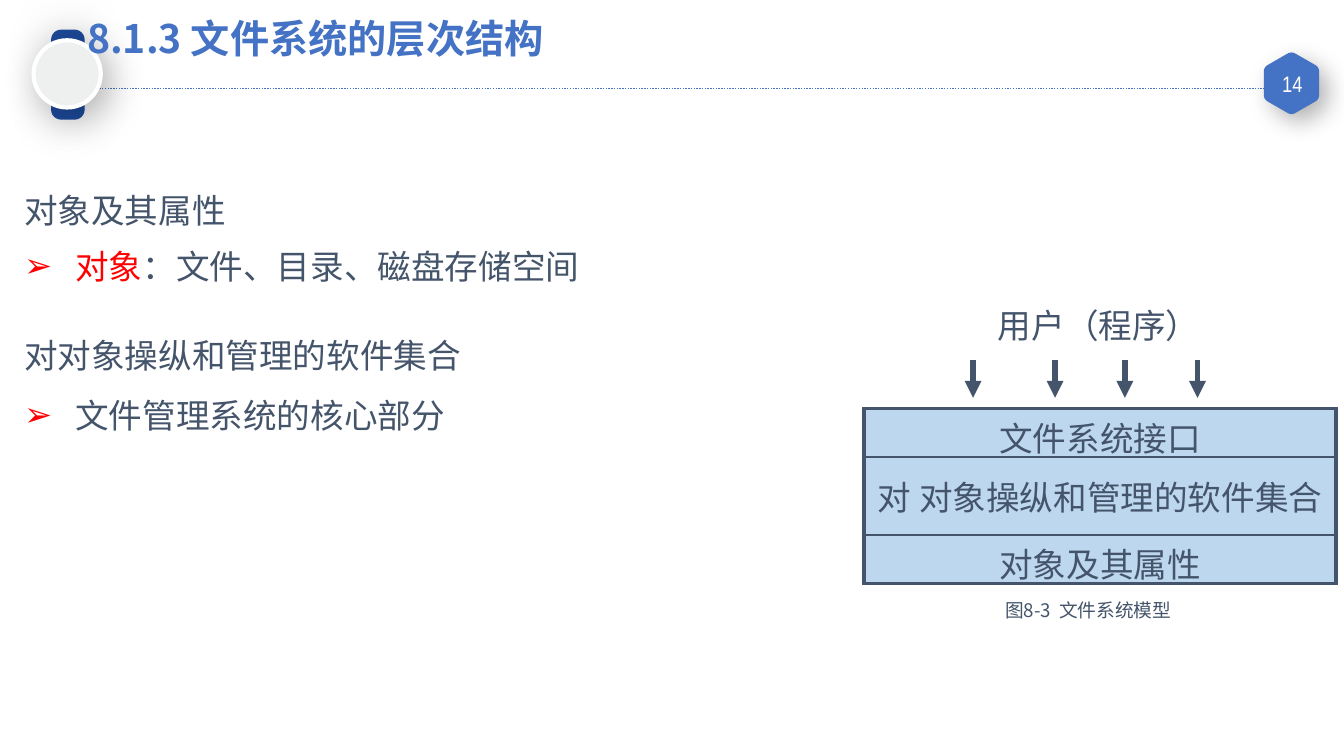
from math import cos, radians, sin

from lxml import etree
from pptx import Presentation
from pptx.dml.color import RGBColor
from pptx.enum.dml import MSO_LINE
from pptx.enum.shapes import MSO_CONNECTOR, MSO_SHAPE
from pptx.enum.text import MSO_ANCHOR, PP_ALIGN
from pptx.oxml.ns import qn
from pptx.util import Inches, Pt

FONT = "Noto Sans CJK SC"
BLUE, SLATE, RED, WHITE = "4472C4", "44546A", "FF0000", "FFFFFF"
NAVY, PALE_GREY, PALE_BLUE = "1D4999", "EEF0F0", "BDD7EE"


def color(value):
    return RGBColor.from_string(value)


def add_element(parent, tag, **attributes):
    return etree.SubElement(parent, qn(tag), attributes)


def add_color(parent, value):
    return add_element(parent, "a:srgbClr", val=value)


class SlideBuilder:
    """Holds the text style and the current slide."""

    def __init__(self, slide, font=FONT, text_color=SLATE, size=18):
        self.slide = slide
        self.font = font
        self.text_color = text_color
        self.size = size

    def run(self, paragraph, text, size=None, text_color=None, bold=False, font=None):
        run = paragraph.add_run()
        run.text = text
        run.font.name = font or self.font
        run.font.size = Pt(size or self.size)
        run.font.bold = bold
        run.font.color.rgb = color(text_color or self.text_color)
        east_asian = etree.Element(qn("a:ea"), typeface=font or self.font)
        run.font._element.find(qn("a:latin")).addnext(east_asian)

    def text(self, left, top, width, height, runs, inset=(0.07, 0.04),
             align=PP_ALIGN.LEFT, anchor=MSO_ANCHOR.TOP, bullet=False):
        """Add a box with one paragraph; each run is (text, run options)."""
        box = self.slide.shapes.add_textbox(
            Inches(left), Inches(top), Inches(width), Inches(height))
        frame = box.text_frame
        frame.word_wrap = True
        frame.vertical_anchor = anchor
        frame.margin_left = frame.margin_right = Inches(inset[0])
        frame.margin_top = frame.margin_bottom = Inches(inset[1])
        paragraph = frame.paragraphs[0]
        paragraph.alignment = align
        if bullet:
            self.bullet(paragraph)
        for text, options in runs:
            self.run(paragraph, text, **options)

    def bullet(self, paragraph):
        paragraph.line_spacing = 1.2
        properties = paragraph._p.get_or_add_pPr()
        properties.set("marL", str(Inches(0.38)))
        properties.set("indent", str(-Inches(0.38)))
        add_color(add_element(properties, "a:buClr"), RED)
        add_element(properties, "a:buFont", typeface="Arial")
        add_element(properties, "a:buChar", char="➢")

    def line(self, start, end, line_color, width, dash=None, arrow=False):
        connector = self.slide.shapes.add_connector(
            MSO_CONNECTOR.STRAIGHT, *(Inches(value) for value in start + end))
        connector.line.color.rgb = color(line_color)
        connector.line.width = Pt(width)
        if dash:
            connector.line.dash_style = dash
        if arrow:
            add_element(connector.line._get_or_add_ln(), "a:tailEnd", type="triangle")
        add_element(connector._element.spPr, "a:effectLst")

    def finish(self, shape, fill, shadow, line_color=None, line_width=1):
        """Set fill, outline and a shadow of (opacity, blur, distance, angle)."""
        shape.fill.solid()
        shape.fill.fore_color.rgb = color(fill)
        if line_color:
            shape.line.color.rgb = color(line_color)
            shape.line.width = Pt(line_width)
        else:
            shape.line.fill.background()
        shape.shadow.inherit = False
        opacity, blur, distance, angle = shadow
        effects = shape._element.spPr.find(qn("a:effectLst"))
        outer = add_element(
            effects, "a:outerShdw", blurRad=str(Pt(blur)), dist=str(Pt(distance)),
            dir=str(angle * 60000), algn="ctr", rotWithShape="0")
        add_element(add_color(outer, "000000"), "a:alpha", val=str(opacity * 1000))

    def preset(self, kind, left, top, width, height, **style):
        shape = self.slide.shapes.add_shape(
            kind, Inches(left), Inches(top), Inches(width), Inches(height))
        self.finish(shape, **style)
        return shape

    def rounded_hexagon(self, center_x, center_y, radius, corner, **style):
        """Add a hexagon standing on a point, with each corner eased by a curve."""
        vertices = [(center_x + radius * cos(radians(angle)),
                     center_y + radius * sin(radians(angle)))
                    for angle in range(-90, 270, 60)]
        share = corner / radius
        points = []
        for index, vertex in enumerate(vertices):
            before, after = vertices[index - 1], vertices[(index + 1) % 6]
            for step in range(7):
                t = step / 6
                points.append(tuple(
                    Inches(v + share * ((1 - t) ** 2 * (b - v) + t ** 2 * (a - v)))
                    for v, b, a in zip(vertex, before, after)))
        builder = self.slide.shapes.build_freeform(*points[0])
        builder.add_line_segments(points[1:], close=True)
        self.finish(builder.convert_to_shape(), **style)

    def layer_table(self, left, top, width, rows):
        """Add a one-column table from (text, row height) pairs."""
        frame = self.slide.shapes.add_table(
            len(rows), 1, Inches(left), Inches(top), Inches(width),
            Inches(sum(height for _, height in rows)))
        table = frame.table
        table.first_row = table.horz_banding = False
        last = len(rows) - 1
        for index, (text, height) in enumerate(rows):
            table.rows[index].height = Inches(height)
            cell = table.cell(index, 0)
            cell.vertical_anchor = MSO_ANCHOR.MIDDLE
            cell.margin_left = cell.margin_right = Inches(0.08)
            cell.margin_top = cell.margin_bottom = Inches(0.03)
            paragraph = cell.text_frame.paragraphs[0]
            paragraph.alignment = PP_ALIGN.CENTER
            self.run(paragraph, text)
            self.borders(cell, top=2.25 if index == 0 else 1,
                         bottom=2.25 if index == last else 1)
            cell.fill.solid()
            cell.fill.fore_color.rgb = color(PALE_BLUE)

    def borders(self, cell, top, bottom, side=2.25):
        properties = cell._tc.get_or_add_tcPr()
        for tag, width in (("a:lnL", side), ("a:lnR", side),
                           ("a:lnT", top), ("a:lnB", bottom)):
            border = add_element(properties, tag, w=str(Pt(width)))
            add_color(add_element(border, "a:solidFill"), SLATE)


def main():
    presentation = Presentation()
    presentation.slide_width = Inches(10)
    presentation.slide_height = Inches(10 * 9 / 16)
    builder = SlideBuilder(presentation.slides.add_slide(presentation.slide_layouts[6]))

    builder.line((0.33, 0.66), (9.43, 0.66), BLUE, 0.75, dash=MSO_LINE.ROUND_DOT)
    builder.rounded_hexagon(9.61, 0.62, 0.23, 0.03, fill=BLUE, line_color=BLUE,
                            shadow=(30, 13, 6, 45))
    builder.text(9.42, 0.5, 0.39, 0.25,
                 [("14", dict(size=12, text_color=WHITE, font="Arial Narrow"))],
                 align=PP_ALIGN.CENTER, anchor=MSO_ANCHOR.MIDDLE)
    band = builder.preset(MSO_SHAPE.ROUNDED_RECTANGLE, 0.17, 0.43, 0.67, 0.25,
                          fill=NAVY, shadow=(17, 27, 0, 0))
    band.adjustments[0] = 0.3
    band.rotation = 270
    builder.preset(MSO_SHAPE.OVAL, 0.25, 0.3, 0.5, 0.5, fill=PALE_GREY,
                   line_color=WHITE, line_width=2.25, shadow=(28, 22, 6, 45))
    builder.text(0.55, 0.06, 5.76, 0.45,
                 [("8.1.3 文件系统的层次结构", dict(size=21, text_color=BLUE, bold=True))],
                 inset=(0.1, 0.05))

    builder.text(0.11, 1.4, 3.03, 0.33, [("对象及其属性", {})], anchor=MSO_ANCHOR.MIDDLE)
    builder.text(0.11, 1.73, 5.32, 0.43,
                 [("对象", dict(text_color=RED)), ("：文件、目录、磁盘存储空间", {})],
                 bullet=True)
    builder.text(0.11, 2.48, 4.08, 0.32, [("对对象操纵和管理的软件集合", {})],
                 anchor=MSO_ANCHOR.MIDDLE)
    builder.text(0.11, 2.84, 3.29, 0.43, [("文件管理系统的核心部分", {})], bullet=True)

    builder.text(7.33, 2.23, 1.69, 0.38, [("用户（程序）", {})], inset=(0.08, 0.04),
                 align=PP_ALIGN.CENTER)
    for x in (7.24, 7.85, 8.37, 8.91):
        builder.line((x, 2.68), (x, 2.96), SLATE, 3, arrow=True)
    builder.layer_table(6.43, 3.04, 3.51, [
        ("文件系统接口", 0.36),
        ("对 对象操纵和管理的软件集合", 0.58),
        ("对象及其属性", 0.36),
    ])
    builder.text(6.75, 4.41, 2.69, 0.27, [("图8-3  文件系统模型", dict(size=10))],
                 inset=(0.1, 0.05), align=PP_ALIGN.CENTER)

    presentation.save("out.pptx")


if __name__ == "__main__":
    main()
